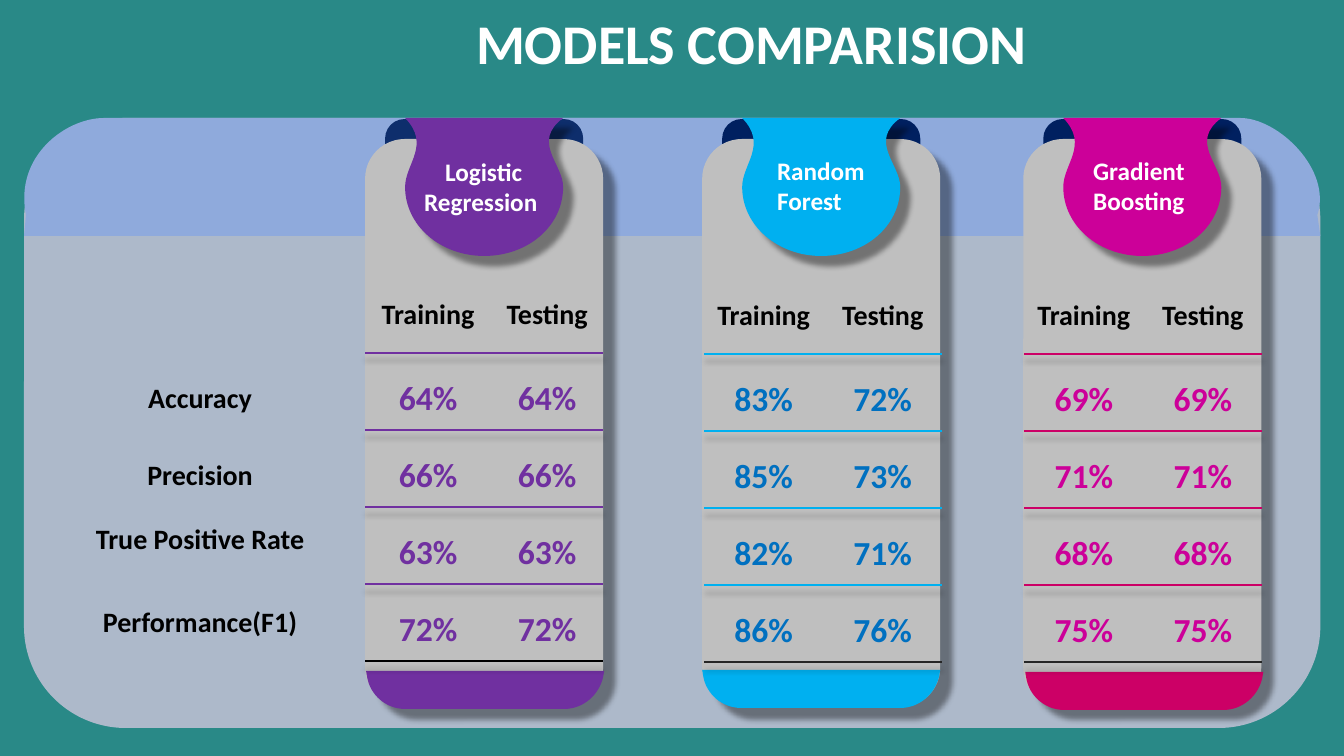
from pptx import Presentation
from pptx import util as u
from pptx.dml.color import RGBColor
from pptx.enum import shapes, text
from pptx.oxml import parse_xml
from pptx.oxml.ns import nsdecls, qn

PX = 914400 / 100.8
FONT = "Calibri"
TEAL = RGBColor(0x29, 0x89, 0x87)
STEEL = RGBColor(0xAD, 0xB9, 0xCA)
BLUE = RGBColor(0x8F, 0xAA, 0xDC)
SILVER = RGBColor(0xBF, 0xBF, 0xBF)
NAVY = RGBColor(0x00, 0x20, 0x60)
DUSK = RGBColor(0x0E, 0x2E, 0x6C)
PURPLE = RGBColor(0x70, 0x30, 0xA0)
SKY = RGBColor(0x00, 0xB0, 0xF0)
OCEAN = RGBColor(0x00, 0x70, 0xC0)
PINK = RGBColor(0xCC, 0x00, 0x99)
ROSE = RGBColor(0xCC, 0x00, 0x66)
BLACK = RGBColor(0, 0, 0)
COAL = RGBColor(0x26, 0x26, 0x26)
WHITE = RGBColor(0xFF, 0xFF, 0xFF)
PLAIN = "{2D5ABB26-0587-4C30-8999-92F81FD0307C}"

BAND = [(104, 118), (1240, 118), (1278, 118, 1332, 170, 1317, 215),
        (1320, 236), (24, 236), (26, 215), (14, 156, 66, 118, 104, 118)]
BADGE = [(198, 118), (166, 142, 198, 164, 198, 187),
         (198, 226, 163, 256, 119, 256), (76, 256, 40, 226, 40, 187),
         (40, 164, 66, 145, 40, 118), (198, 118)]
BASE = [(0, 0), (238, 0), (237, 6), (233, 24, 217, 38, 198, 38),
        (39, 38), (20, 38, 4, 24, 1, 6)]

LABELS = ["Accuracy", "Precision", "True Positive Rate", "Performance(F1)"]
MODELS = [
    dict(left=365, clip=DUSK, badge=PURPLE, base=(366, 671, PURPLE),
         name=(["Logistic Regression "], 411, 151, 145, True),
         grid=(365, 276, [126, 112]), ink=PURPLE, rule=PURPLE, last=BLACK,
         rates=[(64, 64), (66, 66), (63, 63), (72, 72)]),
    dict(left=702, clip=NAVY, badge=SKY, base=(702, 670, SKY),
         name=(["Random", "Forest"], 767, 150, 115, False),
         grid=(704, 277, [119, 119]), ink=OCEAN, rule=SKY, last=COAL,
         rates=[(83, 72), (85, 73), (82, 71), (86, 76)]),
    dict(left=1023, clip=NAVY, badge=PINK, base=(1025, 672, ROSE),
         name=(["Gradient", "Boosting"], 1083, 150, 171, False),
         grid=(1024, 277, [119, 119]), ink=PINK, rule=ROSE, last=COAL,
         rates=[(69, 69), (71, 71), (68, 68), (75, 75)]),
]


def px(*nums):
    return [round(n * PX) for n in nums]


def effect(blur, dist, turn, alpha):
    return parse_xml(
        f'<a:effectLst {nsdecls("a")}><a:outerShdw blurRad="{u.Pt(blur)}" '
        f'dist="{u.Pt(dist)}" dir="{turn * 60000}" algn="tl" rotWithShape="0">'
        f'<a:srgbClr val="000000"><a:alpha val="{alpha * 1000}"/></a:srgbClr>'
        '</a:outerShdw></a:effectLst>')


def paint(shape, color, drop=0):
    shape.shadow.inherit = False
    shape.fill.solid()
    shape.fill.fore_color.rgb = color
    shape.line.fill.background()
    if drop:
        props = shape._element.spPr
        props.replace(props.find(qn("a:effectLst")), effect(4, drop, 45, 40))


def block(slide, kind, box, color, drop=0):
    shape = slide.shapes.add_shape(kind, *px(*box))
    paint(shape, color, drop)
    return shape


def curve(points, left, top):
    spots = "".join(f'<a:pt x="{x - left}" y="{y - top}"/>' for x, y in points)
    return parse_xml(
        f'<a:cubicBezTo {nsdecls("a")}>{spots}</a:cubicBezTo>')


def outline(slide, marks, color, left=0, top=0, drop=0):
    runs = [[px(x + left, y + top) for x, y in zip(mark[::2], mark[1::2])]
            for mark in marks]
    pen = slide.shapes.build_freeform(*runs[0][0], scale=1.0)
    pen.add_line_segments([run[-1] for run in runs[1:]], close=True)
    shape = pen.convert_to_shape()
    sides = list(shape._element.iter(qn("a:lnTo")))
    for side, run in zip(sides, runs[1:]):
        if len(run) == 3:
            bend = curve(run, shape.left, shape.top)
            side.getparent().replace(side, bend)
    paint(shape, color, drop)


def style(para, size, color, center):
    para.font.name = FONT
    para.font.size = u.Pt(size)
    para.font.bold = True
    para.font.color.rgb = color
    para.alignment = text.PP_ALIGN.CENTER if center else text.PP_ALIGN.LEFT


def label(slide, lines, box, size, center=False):
    frame = slide.shapes.add_textbox(*px(*box)).text_frame
    frame.word_wrap = True
    frame.text = "\n".join(lines)
    for para in frame.paragraphs:
        style(para, size, WHITE, center)


def border(cell, color):
    props = cell._tc.get_or_add_tcPr()
    props.insert(0, parse_xml(
        f'<a:lnB {nsdecls("a")} w="{u.Pt(1)}"><a:solidFill>'
        f'<a:srgbClr val="{color}"/></a:solidFill></a:lnB>'))


def grid(slide, left, top, cols, rows, data, looks, rules=None):
    box = px(left, top, sum(cols), sum(rows))
    table = slide.shapes.add_table(len(rows), len(cols), *box).table
    table.first_row = table.horz_banding = False
    props = table._tbl.tblPr
    props.find(qn("a:tableStyleId")).text = PLAIN
    if rules:
        props.insert(0, effect(4, 5, 90, 40))
    for col, width in zip(table.columns, px(*cols)):
        col.width = width
    for row, height in zip(table.rows, px(*rows)):
        row.height = height
    for r, line in enumerate(data):
        for c, word in enumerate(line):
            cell = table.cell(r, c)
            cell.text = word
            cell.fill.background()
            para = cell.text_frame.paragraphs[0]
            para.line_spacing = 1.5
            style(para, *looks[r], True)
            if rules:
                border(cell, rules[r])


def card(slide, model):
    left = model["left"]
    for shift in (20, 179):
        clip = block(slide, shapes.MSO_SHAPE.FLOWCHART_DELAY,
                     (left + shift, 119, 39, 39), model["clip"])
        clip.rotation = 270
    block(slide, shapes.MSO_SHAPE.ROUNDED_RECTANGLE,
          (left, 139, 238, 568), SILVER, 12)
    outline(slide, BADGE, model["badge"], left, drop=10)
    x, y, color = model["base"]
    outline(slide, BASE, color, x, y)
    lines, x, y, width, center = model["name"]
    label(slide, lines, (x, y, width, 72), 18, center)
    data = [("Training", "Testing")]
    data += [tuple(f"{rate}%" for rate in pair) for pair in model["rates"]]
    looks = [(20, BLACK)] + [(24, model["ink"])] * 4
    rules = [model["rule"]] * 4 + [model["last"]]
    grid(slide, *model["grid"], [77] * 5, data, looks, rules)


def main():
    deck = Presentation()
    deck.slide_width, deck.slide_height = u.Inches(13.33), u.Inches(7.5)
    slide = deck.slides.add_slide(deck.slide_layouts[6])
    slide.background.fill.solid()
    slide.background.fill.fore_color.rgb = TEAL
    block(slide, shapes.MSO_SHAPE.ROUNDED_RECTANGLE,
          (24, 118, 1296, 610), STEEL)
    outline(slide, BAND, BLUE)
    for model in MODELS:
        card(slide, model)
    grid(slide, 41, 360, [318], [77, 64, 83, 64],
         [(name,) for name in LABELS], [(20, BLACK)] * 4)
    label(slide, ["MODELS COMPARISION"], (466, 4, 590, 78), 40)
    deck.save("out.pptx")


main()
